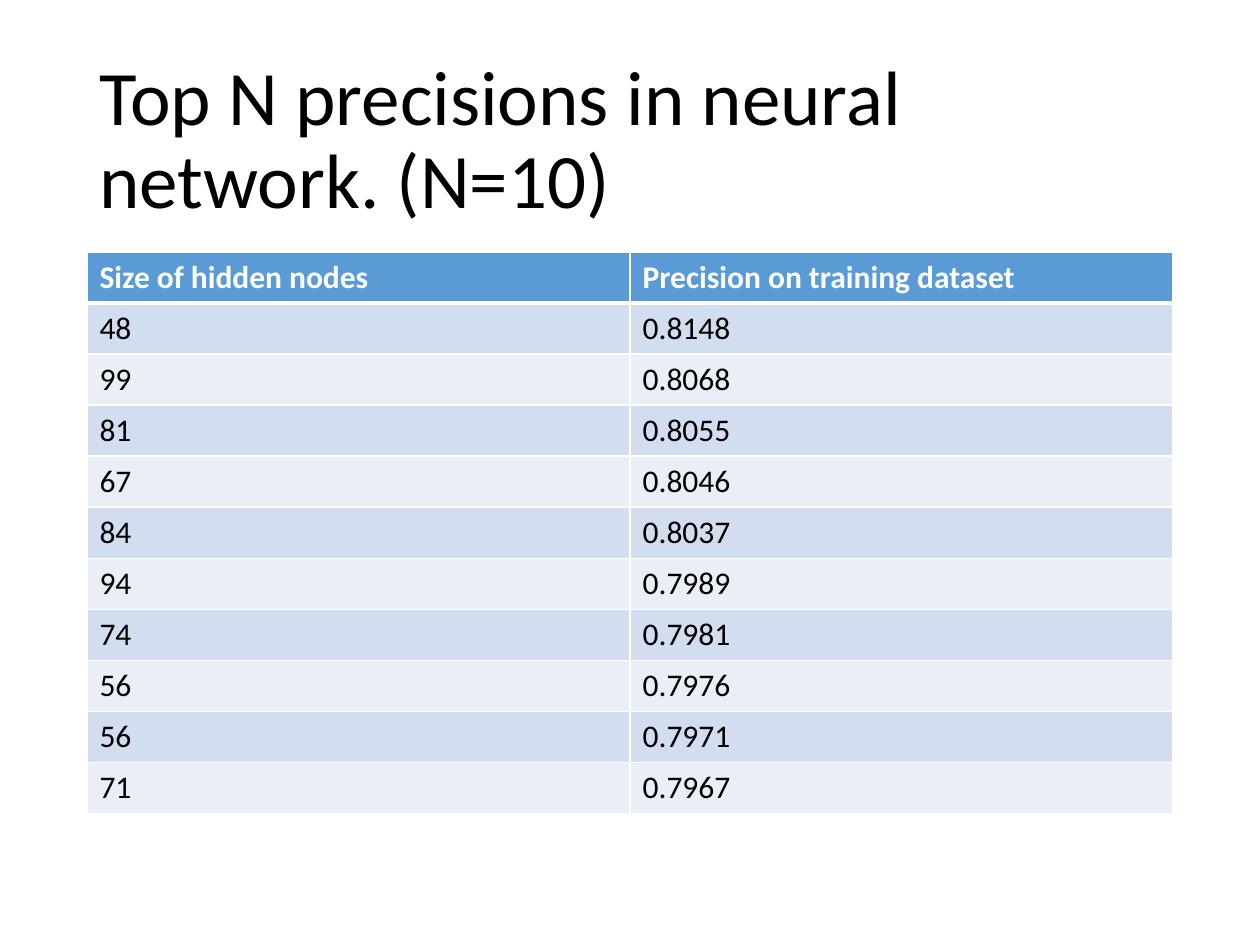
"""Build a slide listing the ten best neural network precisions."""
from lxml.etree import SubElement
from pptx import Presentation
from pptx.dml.color import RGBColor
from pptx.enum.text import MSO_ANCHOR
from pptx.oxml.ns import qn
from pptx.util import Inches, Pt


def style_text(paragraph, size, color, bold=False):
    paragraph.font.name = "Calibri"
    paragraph.font.size = Pt(size)
    paragraph.font.bold = bold
    paragraph.font.color.rgb = RGBColor.from_string(color)


def add_border(cell, side, width):
    line = SubElement(cell._tc.get_or_add_tcPr(), qn(f"a:{side}"), w=str(Pt(width)))
    fill = SubElement(line, qn("a:solidFill"))
    SubElement(fill, qn("a:srgbClr"), val="FFFFFF")


results = [
    ("Size of hidden nodes", "Precision on training dataset"),
    ("48", "0.8148"),
    ("99", "0.8068"),
    ("81", "0.8055"),
    ("67", "0.8046"),
    ("84", "0.8037"),
    ("94", "0.7989"),
    ("74", "0.7981"),
    ("56", "0.7976"),
    ("56", "0.7971"),
    ("71", "0.7967"),
]

presentation = Presentation()
presentation.slide_width = Inches(10)
presentation.slide_height = Inches(7.5)
slide = presentation.slides.add_slide(presentation.slide_layouts[6])

title = slide.shapes.add_textbox(
    Inches(0.69), Inches(0.4), Inches(8.62), Inches(1.45)
).text_frame
title.word_wrap = True
title.vertical_anchor = MSO_ANCHOR.MIDDLE
heading = title.paragraphs[0]
heading.text = "Top N precisions in neural network. (N=10)"
heading.line_spacing = 0.9
style_text(heading, 44, "000000")

precisions = slide.shapes.add_table(
    len(results), 2, Inches(0.69), Inches(2), Inches(8.62), Inches(4.46)
).table
for row, values in enumerate(results):
    is_header = row == 0
    band = "5B9BD5" if is_header else ("EAEFF7", "D2DEEF")[row % 2]
    for column, value in enumerate(values):
        cell = precisions.cell(row, column)
        cell.text = value
        style_text(
            cell.text_frame.paragraphs[0],
            18,
            "FFFFFF" if is_header else "000000",
            is_header,
        )
        for side in ("lnL", "lnR", "lnT", "lnB"):
            thick = (row, side) in ((0, "lnB"), (1, "lnT"))
            add_border(cell, side, 3 if thick else 1)
        cell.fill.solid()
        cell.fill.fore_color.rgb = RGBColor.from_string(band)

presentation.save("out.pptx")
